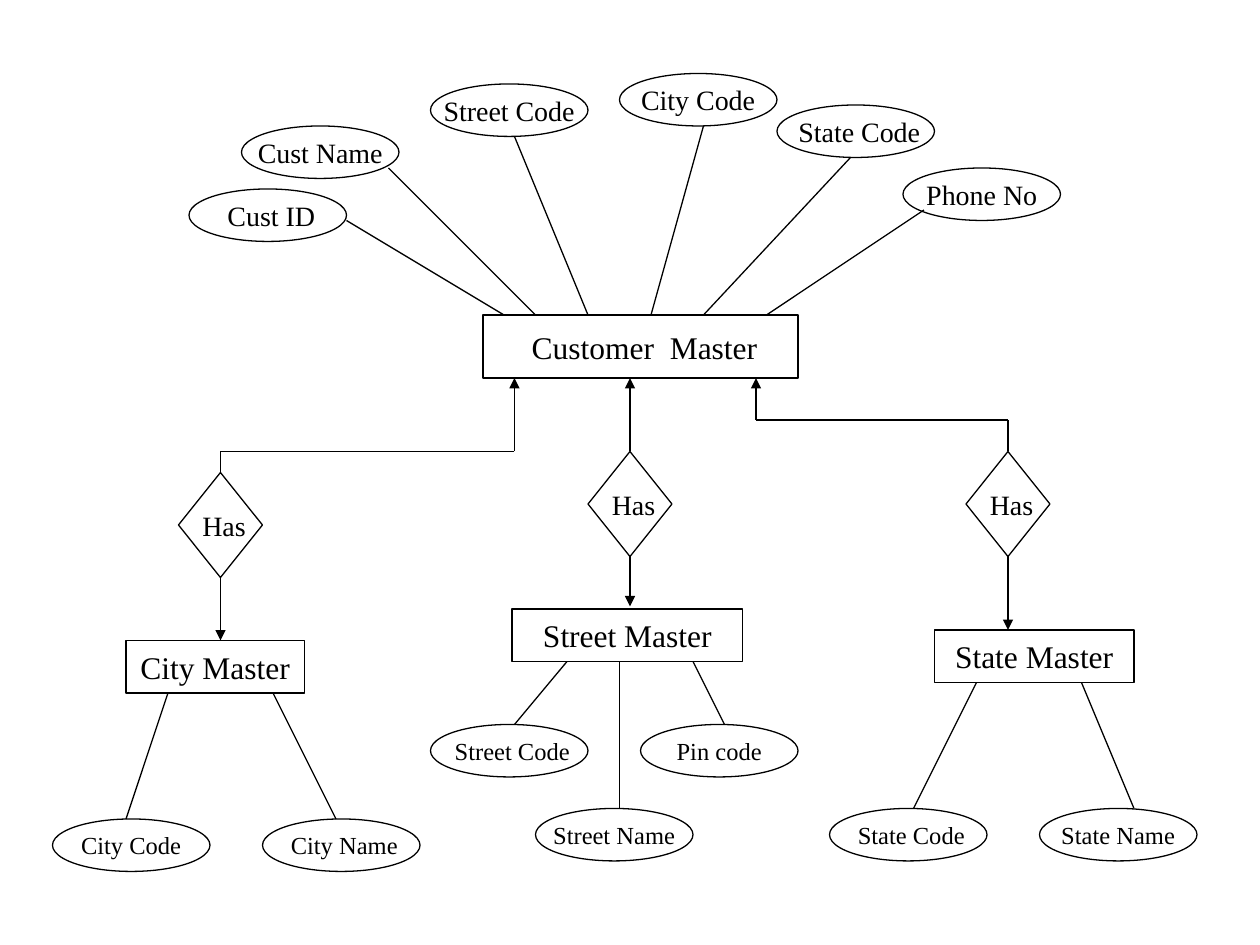
"""Entity diagram of a customer master and its three lookup tables."""
from itertools import pairwise

from lxml import etree
from pptx import Presentation
from pptx import util as u
from pptx.dml.color import RGBColor
from pptx.enum import shapes, text
from pptx.oxml.ns import qn

BLACK = RGBColor(0, 0, 0)
WHITE = RGBColor(255, 255, 255)
KIND = shapes.MSO_SHAPE


class Board:
    font = "Times New Roman"
    cols, rows = 120, 90

    def __init__(self, deck):
        self.dx = deck.slide_width / self.cols
        self.dy = deck.slide_height / self.rows
        self.slide = deck.slides.add_slide(deck.slide_layouts[6])

    def spot(self, x, y):
        return round(x * self.dx), round(y * self.dy)

    def node(self, kind, words, x, y, w, h, size, nudge):
        node = self.slide.shapes.add_shape(kind, *self.spot(x, y), *self.spot(w, h))
        node.shadow.inherit = False
        node.fill.solid()
        node.fill.fore_color.rgb = WHITE
        node.line.color.rgb = BLACK
        node.line.width = u.Pt(0.75)
        frame = node.text_frame
        frame.word_wrap = False
        frame.vertical_anchor = text.MSO_ANCHOR.MIDDLE
        frame.margin_left = u.Inches(0.1) + u.Pt(size / 4 if nudge else 0)
        frame.text = words
        para = frame.paragraphs[0]
        para.alignment = text.PP_ALIGN.CENTER
        font = para.runs[0].font
        font.name, font.size, font.color.rgb = self.font, u.Pt(size), BLACK
        return node

    def table(self, words, x, y, w, h=5, nudge=False):
        return self.node(KIND.RECTANGLE, words, x, y, w, h, 18, nudge)

    def field(self, words, x, y, size=14, nudge=False):
        return self.node(KIND.OVAL, words, x, y, 15, 5, size, nudge)

    def link(self, x, y):
        return self.node(KIND.DIAMOND, "Has", x, y, 8, 10, 16, True)

    def line(self, start, end, arrow=False):
        line = self.slide.shapes.add_connector(
            shapes.MSO_CONNECTOR.STRAIGHT, *self.spot(*start), *self.spot(*end))
        line.line.color.rgb = BLACK
        line.line.width = u.Pt(0.75)
        if arrow:
            etree.SubElement(line.line._get_or_add_ln(), qn("a:tailEnd"), type="triangle")
        etree.SubElement(line._element.spPr, qn("a:effectLst"))
        return line

    def route(self, link, side, *stops):
        last = len(stops) - 2
        for i, (start, end) in enumerate(pairwise(stops)):
            line = self.line(start, end, arrow=i == last)
            if i == 0:
                line.begin_connect(link, side)


def main():
    deck = Presentation()
    deck.slide_width, deck.slide_height = u.Inches(10), u.Inches(7.5)
    board = Board(deck)

    board.table("Customer  Master", 46, 30, 30, 6, nudge=True)
    for words, x, y, nudge, start, foot in (
        ("Cust ID", 18, 18, True, (33, 21), 48),
        ("Cust Name", 23, 12, False, (37, 16), 51),
        ("Street Code", 41, 8, False, (49, 13), 56),
        ("City Code", 59, 7, False, (67, 12), 62),
        ("State Code", 74, 10, True, (81, 15), 67),
        ("Phone No", 86, 16, False, (88, 20), 73),
    ):
        board.field(words, x, y, 16, nudge)
        board.line(start, (foot, 30))

    for words, x, y, w, fields in (
        ("City Master", 12, 61, 17, (
            ("City Code", 5, 78, False, 12, 16),
            ("City Name", 25, 78, True, 32, 26))),
        ("Street Master", 48.75, 58, 22, (
            ("Street Code", 41, 69, True, 49, 54),
            ("Street Name", 51, 77, False, 59, 59),
            ("Pin code", 61, 69, False, 69, 66))),
        ("State Master", 89, 60, 19, (
            ("State Code", 79, 77, True, 87, 93),
            ("State Name", 99, 77, False, 108, 103))),
    ):
        board.table(words, x, y, w)
        for label, left, top, nudge, start, end in fields:
            board.field(label, left, top, nudge=nudge)
            board.line((start, top), (end, y + 5))

    for mid, top, foot, bends in (
        (21, 45, 61, ((21, 43), (49, 43), (49, 36))),
        (60, 43, 57.75, ((60, 36),)),
        (96, 43, 60, ((96, 40), (72, 40), (72, 36))),
    ):
        link = board.link(mid - 4, top)
        board.route(link, 0, (mid, top), *bends)
        board.route(link, 2, (mid, top + 10), (mid, foot))

    deck.save("out.pptx")


if __name__ == "__main__":
    main()
